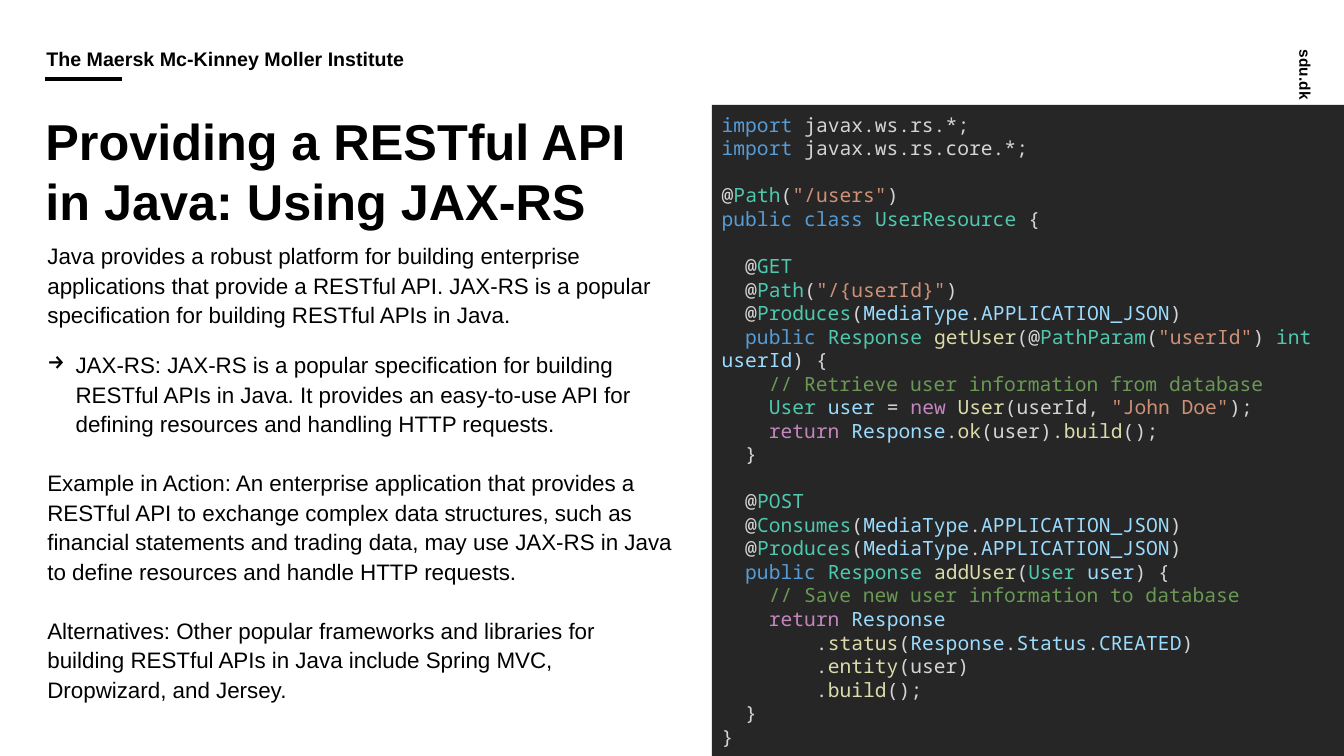
from typing import NamedTuple

from lxml.etree import SubElement
from pptx import Presentation
from pptx.dml.color import RGBColor
from pptx.enum.shapes import MSO_CONNECTOR as Connector
from pptx.enum.shapes import MSO_SHAPE as Preset
from pptx.enum.text import MSO_ANCHOR as Anchor
from pptx.enum.text import MSO_AUTO_SIZE as AutoSize
from pptx.enum.text import PP_ALIGN as Align
from pptx.oxml.ns import qn
from pptx.util import Inches, Pt

COLORS = {
    "black": "000000",
    "white": "FFFFFF",
    "panel": "262626",
    "plain": "D4D4D4",
    "keyword": "569CD6",
    "type": "4EC9B0",
    "string": "CE9178",
    "variable": "9CDCFE",
    "method": "DCDCAA",
    "control": "C586C0",
    "comment": "6A9955",
}


class Span(NamedTuple):
    text: str
    color: str = "black"


class Line(NamedTuple):
    spans: list[Span]
    space_before: float = 0
    bullet: str = ""


class Box(NamedTuple):
    left: float
    top: float
    width: float
    height: float
    fill: str = ""
    rotation: float = 0


INTRO = (
    "Java provides a robust platform for building enterprise applications that provide "
    "a RESTful API. JAX-RS is a popular specification for building RESTful APIs in Java."
)
JAX_RS = (
    "JAX-RS: JAX-RS is a popular specification for building RESTful APIs in Java. It "
    "provides an easy-to-use API for defining resources and handling HTTP requests."
)
EXAMPLE = (
    "Example in Action: An enterprise application that provides a RESTful API to exchange "
    "complex data structures, such as financial statements and trading data, may use "
    "JAX-RS in Java to define resources and handle HTTP requests."
)
ALTERNATIVES = (
    "Alternatives: Other popular frameworks and libraries for building RESTful APIs in "
    "Java include Spring MVC, Dropwizard, and Jersey."
)

JSON_TYPE = "(|variable:MediaType|.|variable:APPLICATION_JSON|)"
CODE = f"""keyword:import |javax.ws.rs.*;
keyword:import |javax.ws.rs.core.*;

@|type:Path|(|string:"/users"|)
keyword:public class |type:UserResource| {{

  @|type:GET
  @|type:Path|(|string:"/{{userId}}"|)
  @|type:Produces|{JSON_TYPE}
keyword:  public |type:Response |method:getUser|(@|type:PathParam|(|string:"userId"|) |type:int |variable:userId|) {{
comment:    // Retrieve user information from database
type:    User |variable:user| = |control:new |method:User|(userId, |string:"John Doe"|);
control:    return |variable:Response|.|method:ok|(user).|method:build|();
  }}

  @|type:POST
  @|type:Consumes|{JSON_TYPE}
  @|type:Produces|{JSON_TYPE}
keyword:  public |type:Response |method:addUser|(|type:User |variable:user|) {{
comment:    // Save new user information to database
control:    return |variable:Response
        .|method:status|(|variable:Response|.|variable:Status|.|variable:CREATED|)
        .|method:entity|(user)
        .|method:build|();
  }}
}}"""


def rgb(name: str) -> RGBColor:
    return RGBColor.from_string(COLORS[name])


def code_span(token: str) -> Span:
    color, mark, text = token.partition(":")
    return Span(text, color) if mark else Span(token, "plain")


def code_lines(source: str) -> list[Line]:
    lines = []
    for block_number, block in enumerate(source.split("\n\n")):
        for row_number, row in enumerate(block.split("\n")):
            spans = [code_span(token) for token in row.split("|")]
            if block_number and not row_number:
                spans.insert(0, Span("\v", "plain"))
            lines.append(Line(spans))
    return lines


def add_bullet(paragraph, char: str) -> None:
    properties = paragraph._p.get_or_add_pPr()
    properties.set("marL", str(Inches(0.28)))
    properties.set("indent", str(Inches(-0.28)))
    SubElement(properties, qn("a:buChar"), char=char)


def write(frame, lines: list[Line], *, size: float, font: str = "Arial", bold: bool = False,
          spacing: float = 1.0, anchor: Anchor = Anchor.TOP,
          insets: tuple[float, float, float, float] = (0, 0, 0, 0)) -> None:
    frame.word_wrap = True
    frame.auto_size = AutoSize.NONE
    frame.vertical_anchor = anchor
    frame.margin_left, frame.margin_top, frame.margin_right, frame.margin_bottom = map(Inches, insets)
    for index, line in enumerate(lines):
        paragraph = frame.add_paragraph() if index else frame.paragraphs[0]
        if line.bullet:
            add_bullet(paragraph, line.bullet)
        paragraph.alignment = Align.LEFT
        paragraph.line_spacing = spacing
        paragraph.space_before = Pt(line.space_before)
        for span in line.spans:
            for part_number, part in enumerate(span.text.split("\v")):
                if part_number:
                    paragraph.add_line_break()
                if part:
                    run = paragraph.add_run()
                    run.text = part
                    run.font.name = font
                    run.font.size = Pt(size)
                    run.font.bold = bold
                    run.font.color.rgb = rgb(span.color)
        paragraph.font.size = Pt(size)
        paragraph.font.name = font
        for line_break in paragraph._p.findall(qn("a:br")):
            SubElement(line_break, qn("a:rPr"), sz=str(int(size * 100)))


def place(shape, box: Box) -> None:
    shape.left, shape.top, shape.width, shape.height = map(Inches, box[:4])
    shape.rotation = box.rotation


def add_box(slide, box: Box):
    if not box.fill:
        label = slide.shapes.add_textbox(*map(Inches, box[:4]))
        label.rotation = box.rotation
        return label.text_frame
    panel = slide.shapes.add_shape(Preset.RECTANGLE, *map(Inches, box[:4]))
    panel.shadow.inherit = False
    panel.fill.solid()
    panel.fill.fore_color.rgb = rgb(box.fill)
    panel.line.fill.background()
    return panel.text_frame


def add_rule(slide, left: float, right: float, y: float) -> None:
    rule = slide.shapes.add_connector(
        Connector.STRAIGHT, Inches(left), Inches(y), Inches(right), Inches(y))
    rule.line.color.rgb = rgb("black")
    rule.line.width = Pt(3)
    SubElement(rule._element.spPr, qn("a:effectLst"))


def main() -> None:
    deck = Presentation()
    deck.slide_width, deck.slide_height = Inches(13.33), Inches(7.5)
    slide = deck.slides.add_slide(deck.slide_layouts[5])

    write(add_box(slide, Box(12.56, 0.79, 1, 0.41, rotation=90)),
          [Line([Span("sdu.dk")])], size=11, bold=True, anchor=Anchor.BOTTOM)
    add_rule(slide, 0.45, 1.21, 0.78)
    write(add_box(slide, Box(0.45, 0.49, 6.22, 0.31)),
          [Line([Span("The Maersk Mc-Kinney Moller Institute")])], size=14, bold=True,
          spacing=0.9, anchor=Anchor.BOTTOM, insets=(0.01, 0, 0, 0.1))

    title = slide.shapes.title
    place(title, Box(0.45, 1.09, 11.96, 1.29))
    write(title.text_frame, [Line([Span("Providing a RESTful API\vin Java: Using JAX-RS")])],
          size=36, bold=True)

    write(add_box(slide, Box(0.47, 2.38, 6.41, 1.08)), [Line([Span(INTRO)])],
          size=16, spacing=1.1)
    write(add_box(slide, Box(0.47, 3.46, 6.2, 3.84, fill="white")),
          [Line([Span(JAX_RS)], bullet="→"),
           Line([Span(EXAMPLE)], space_before=21),
           Line([Span(ALTERNATIVES)], space_before=21)],
          size=16, spacing=1.1)
    write(add_box(slide, Box(7.06, 1.04, 6.27, 6.46, fill="panel")), code_lines(CODE),
          size=14, font="Noto Sans Mono", anchor=Anchor.MIDDLE, insets=(0.1, 0.05, 0.1, 0.05))

    deck.save("out.pptx")


if __name__ == "__main__":
    main()
